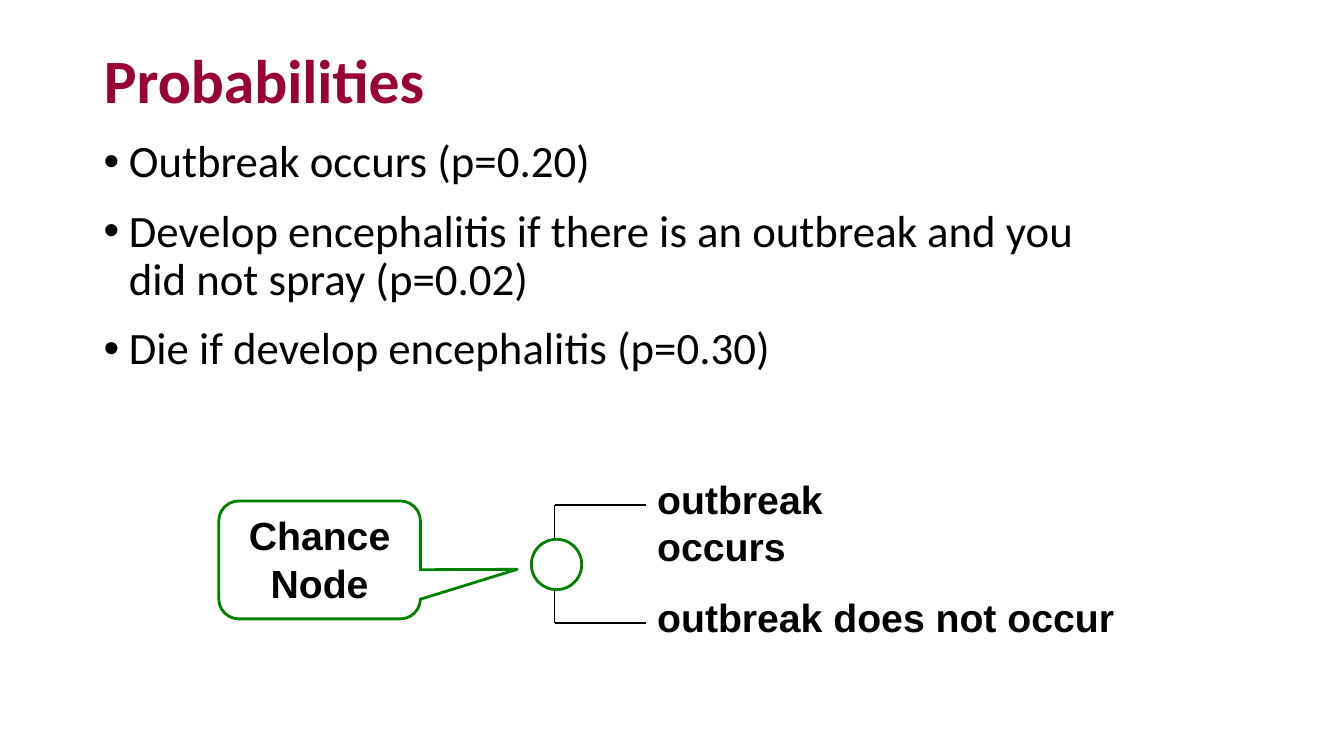
"""Build a slide on outbreak probabilities with a chance node diagram."""
from lxml import etree
from pptx import Presentation
from pptx import util as u
from pptx.dml.color import RGBColor
from pptx.enum import shapes, text
from pptx.oxml.ns import qn

WIDTH, HEIGHT = 13.33, 7.5
LEFT = 0.93
NODE_X, NODE_Y, NODE_SIZE = 5.5, 5.6, 0.5
BRANCH_END = 6.41
GREEN, BLACK, WHITE, CRIMSON = "008000", "000000", "FFFFFF", "990033"
TITLE = {"name": "Calibri", "size": u.Pt(44), "bold": True}
BODY = {"name": "Calibri", "size": u.Pt(32), "bold": False}
LABEL = {"name": "Arial", "size": u.Pt(28), "bold": True}
BULLETS = [
    "Outbreak occurs (p=0.20)",
    "Develop encephalitis if there is an outbreak and you did not spray (p=0.02)",
    "Die if develop encephalitis (p=0.30)",
]
BRANCHES = [(5.01, "outbreak occurs"), (6.18, "outbreak does not occur")]


def paint(color_format, color):
    """Apply a hex color to a fill foreground, line or font color."""
    color_format.rgb = RGBColor.from_string(color)


def assign(target, values):
    """Set each named attribute of the target."""
    for name, value in values.items():
        setattr(target, name, value)


def write(para, words, font, color=BLACK, **layout):
    """Put one formatted span into a paragraph."""
    assign(para, layout)
    span = para.add_run()
    span.text = words
    assign(span.font, font)
    paint(span.font.color, color)


def add_title(page, words):
    """Place and format the title placeholder."""
    title = page.shapes.title
    assign(title, {"left": u.Inches(LEFT), "top": u.Inches(0.33),
                   "width": u.Inches(9.98), "height": u.Inches(1)})
    assign(title.text_frame, {"auto_size": text.MSO_AUTO_SIZE.NONE,
                              "vertical_anchor": text.MSO_ANCHOR.MIDDLE})
    write(title.text_frame.paragraphs[0], words, TITLE, CRIMSON,
          alignment=text.PP_ALIGN.LEFT, line_spacing=0.9)


def add_bullets(page, lines):
    """Add the bulleted list under the title."""
    box = page.shapes.add_textbox(*map(u.Inches, (LEFT, 1.33, 10.23, 3.25)))
    frame = box.text_frame
    frame.word_wrap = True
    for index, line in enumerate(lines):
        para = frame.add_paragraph() if index else frame.paragraphs[0]
        properties = para._p.get_or_add_pPr()
        properties.set("marL", str(u.Inches(0.25)))
        properties.set("indent", str(-u.Inches(0.25)))
        etree.SubElement(properties, qn("a:buFont"), typeface="Arial")
        etree.SubElement(properties, qn("a:buChar"), char="•")
        write(para, line, BODY, line_spacing=0.9,
              space_before=u.Pt(10 if index else 0), space_after=u.Pt(5))


def add_outline(page, kind, left, top, width, height):
    """Add a white preset shape with a green outline."""
    shape = page.shapes.add_shape(kind, *map(u.Inches, (left, top, width, height)))
    shape.shadow.inherit = False
    shape.fill.solid()
    paint(shape.fill.fore_color, WHITE)
    paint(shape.line.color, GREEN)
    shape.line.width = u.Pt(2)
    return shape


def add_callout(page, words):
    """Add the callout that points at the chance node."""
    callout = add_outline(page, shapes.MSO_SHAPE.ROUNDED_RECTANGULAR_CALLOUT,
                          2.17, 4.97, 2, 1.17)
    for index, value in enumerate((0.98, 0.08, 0.17)):
        callout.adjustments[index] = value
    frame = callout.text_frame
    assign(frame, {"word_wrap": True, "vertical_anchor": text.MSO_ANCHOR.TOP})
    write(frame.paragraphs[0], words, LABEL, alignment=text.PP_ALIGN.CENTER)


def add_line(page, *ends):
    """Add a thin black straight line."""
    line = page.shapes.add_connector(shapes.MSO_CONNECTOR.STRAIGHT, *map(u.Inches, ends))
    paint(line.line.color, BLACK)
    line.line.width = u.Pt(1)
    etree.SubElement(line._element.spPr, qn("a:effectLst"))


def add_branch(page, level, words):
    """Add a stem, an arm and the label of one outcome."""
    edge = NODE_Y + (NODE_SIZE / 2 if level > NODE_Y else -NODE_SIZE / 2)
    add_line(page, NODE_X, edge, NODE_X, level)
    add_line(page, NODE_X, level, BRANCH_END, level)
    box = page.shapes.add_textbox(
        *map(u.Inches, (BRANCH_END + 0.01, level - 0.34, len(words) * 0.21, 0.57)))
    assign(box.text_frame, {"word_wrap": False,
                            "auto_size": text.MSO_AUTO_SIZE.SHAPE_TO_FIT_TEXT})
    write(box.text_frame.paragraphs[0], words, LABEL)


def main():
    """Build and save the deck."""
    deck = Presentation()
    assign(deck, {"slide_width": u.Inches(WIDTH), "slide_height": u.Inches(HEIGHT)})
    page = deck.slides.add_slide(deck.slide_layouts.get_by_name("Title Only"))
    add_title(page, "Probabilities")
    add_bullets(page, BULLETS)
    add_callout(page, "Chance Node")
    for level, words in BRANCHES:
        add_branch(page, level, words)
    add_outline(page, shapes.MSO_SHAPE.OVAL, NODE_X - 0.23, NODE_Y - NODE_SIZE / 2,
                NODE_SIZE, NODE_SIZE)
    deck.save("out.pptx")


if __name__ == "__main__":
    main()
